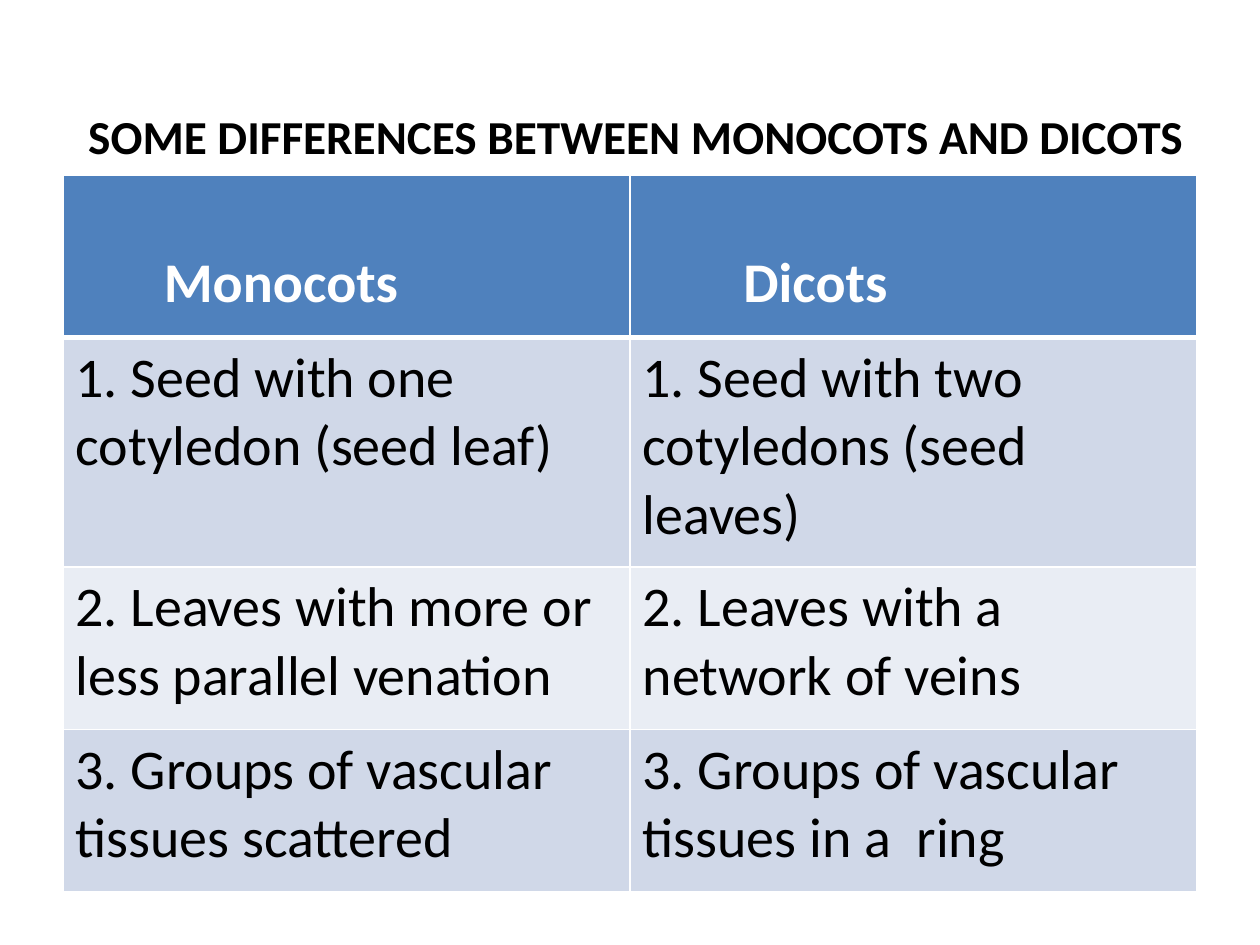
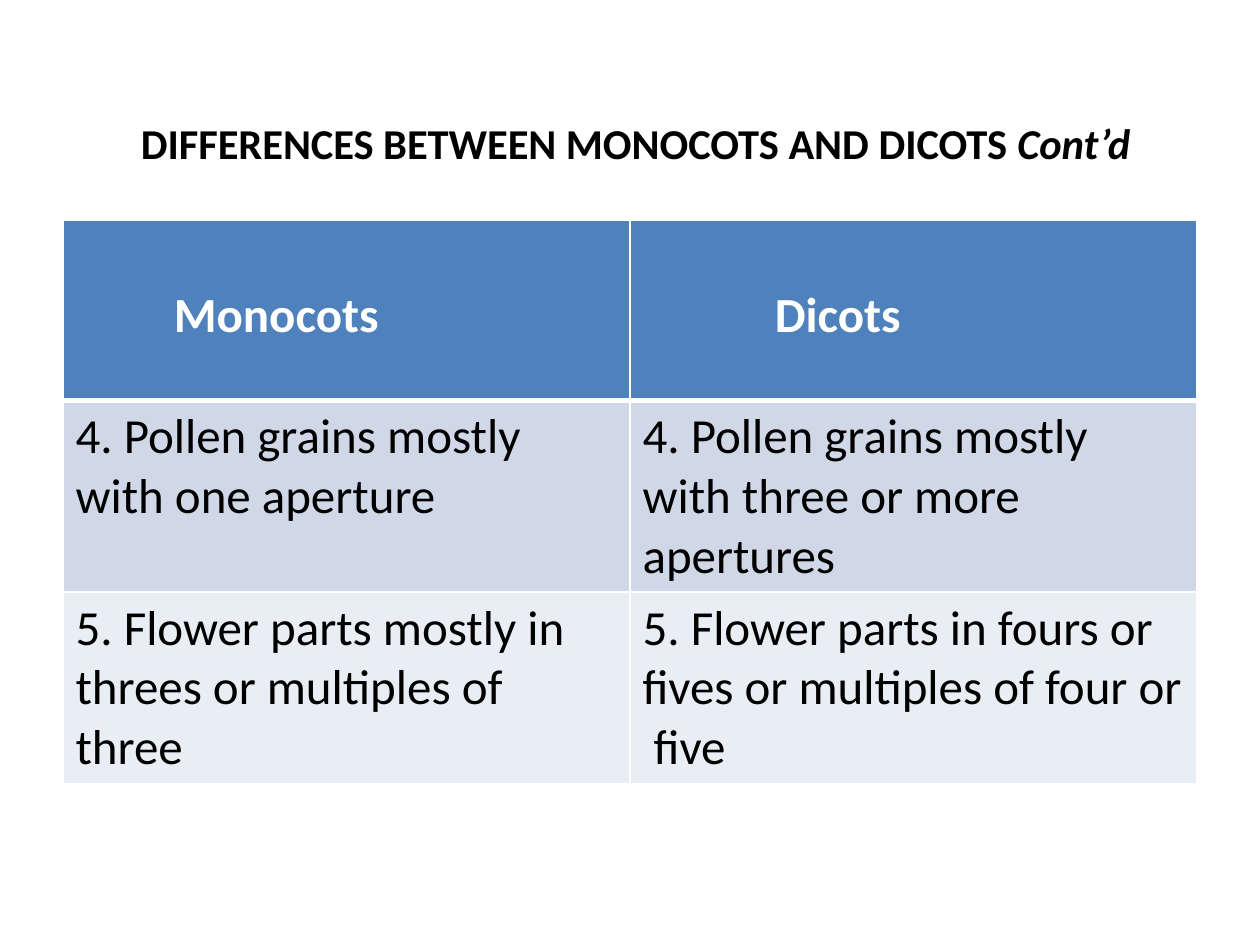
from dataclasses import dataclass

from lxml import etree
from pptx import Presentation
from pptx import util as u
from pptx.dml.color import RGBColor
from pptx.enum import text
from pptx.oxml import ns


@dataclass(frozen=True)
class Theme:
    font: str = "Calibri"
    ink: str = "000000"
    paper: str = "FFFFFF"
    header: str = "4F81BD"
    bands: tuple = ("D0D8E8", "E9EDF4")
    rule: float = 1
    header_rule: float = 3
    title_large: float = 27
    title_small: float = 24.3
    body_large: float = 32
    body_small: float = 28


def add_run(paragraph, words, *, font, size, color, bold=False, italic=False):
    run = paragraph.add_run()
    run.text = words
    run.font.name = font
    run.font.size = u.Pt(size)
    run.font.bold = bold
    run.font.italic = italic
    run.font.color.rgb = RGBColor.from_string(color)


class Deck:
    """Holds the theme and the slide being built."""

    def __init__(self, theme):
        self.theme = theme
        self.presentation = Presentation()
        self.presentation.slide_width = u.Inches(10)
        self.presentation.slide_height = u.Inches(7.5)
        self.slide = None

    def new_slide(self):
        self.slide = self.presentation.slides.add_slide(self.presentation.slide_layouts[6])

    def title(self, words, top, size, ending=""):
        shape = self.slide.shapes.add_textbox(
            u.Inches(0.59), u.Inches(top), u.Inches(8.91), u.Inches(0.63))
        frame = shape.text_frame
        frame.word_wrap = True
        frame.vertical_anchor = text.MSO_ANCHOR.MIDDLE
        frame.margin_left = frame.margin_right = 0
        paragraph = frame.paragraphs[0]
        paragraph.alignment = text.PP_ALIGN.CENTER
        style = dict(font=self.theme.font, size=size, color=self.theme.ink, bold=True)
        add_run(paragraph, words, **style)
        if ending:
            add_run(paragraph, ending, italic=True, **style)

    def borders(self, cell, row):
        properties = cell._tc.get_or_add_tcPr()
        thick_side = {0: "B", 1: "T"}.get(row)
        for side in "LRTB":
            width = self.theme.header_rule if side == thick_side else self.theme.rule
            line = etree.SubElement(properties, ns.qn(f"a:ln{side}"), w=str(u.Pt(width)))
            fill = etree.SubElement(line, ns.qn("a:solidFill"))
            etree.SubElement(fill, ns.qn("a:srgbClr"), val=self.theme.paper)

    def cell(self, cell, row, words, size):
        is_header = row == 0
        fill = self.theme.header if is_header else self.theme.bands[(row - 1) % 2]
        self.borders(cell, row)
        cell.fill.solid()
        cell.fill.fore_color.rgb = RGBColor.from_string(fill)
        frame = cell.text_frame
        for index, line in enumerate(words.split("\n")):
            paragraph = frame.add_paragraph() if index else frame.paragraphs[0]
            add_run(paragraph, line, font=self.theme.font, size=size, bold=is_header,
                    color=self.theme.paper if is_header else self.theme.ink)

    def table(self, rows, top, heights, size, header_top, header_indents):
        table = self.slide.shapes.add_table(
            len(rows), 2, u.Inches(0.5), u.Inches(top),
            u.Inches(9), u.Inches(sum(heights))).table
        for row, (contents, height) in enumerate(zip(rows, heights)):
            table.rows[row].height = u.Inches(height)
            for column, words in enumerate(contents):
                self.cell(table.cell(row, column), row, words, size)
        # Header labels sit lower and further in than the body text
        for column, indent in enumerate(header_indents):
            header = table.cell(0, column)
            header.margin_top = u.Inches(header_top)
            header.margin_left = u.Inches(indent)


HEADINGS = ("Monocots", "Dicots")


def main():
    theme = Theme()
    deck = Deck(theme)

    # Differences 1 to 3
    deck.new_slide()
    deck.title("SOME DIFFERENCES BETWEEN MONOCOTS AND DICOTS", 0.76, theme.title_large)
    deck.table(
        [HEADINGS,
         ("1. Seed with one cotyledon (seed leaf)",
          "1. Seed with two\ncotyledons (seed leaves)"),
         ("2. Leaves with more or less parallel venation",
          "2. Leaves with a network of veins"),
         ("3. Groups of vascular tissues scattered",
          "3. Groups of vascular tissues in a  ring")],
        top=1.39, heights=(1.29, 1.82, 1.29, 1.29), size=theme.body_large,
        header_top=0.59, header_indents=(0.8, 0.9))

    # Differences 4 and 5
    deck.new_slide()
    deck.title("DIFFERENCES BETWEEN MONOCOTS AND DICOTS ", 0.82, theme.title_small,
               ending="Cont’d")
    deck.table(
        [HEADINGS,
         ("4. Pollen grains mostly with one aperture",
          "4. Pollen grains mostly with three or more apertures"),
         ("5. Flower parts mostly in threes or multiples of three",
          "5. Flower parts in fours or fives or multiples of four or  five")],
        top=1.75, heights=(1.43, 1.52, 1.52), size=theme.body_small,
        header_top=0.52, header_indents=(0.88, 1.15))

    deck.presentation.save("out.pptx")


if __name__ == "__main__":
    main()
